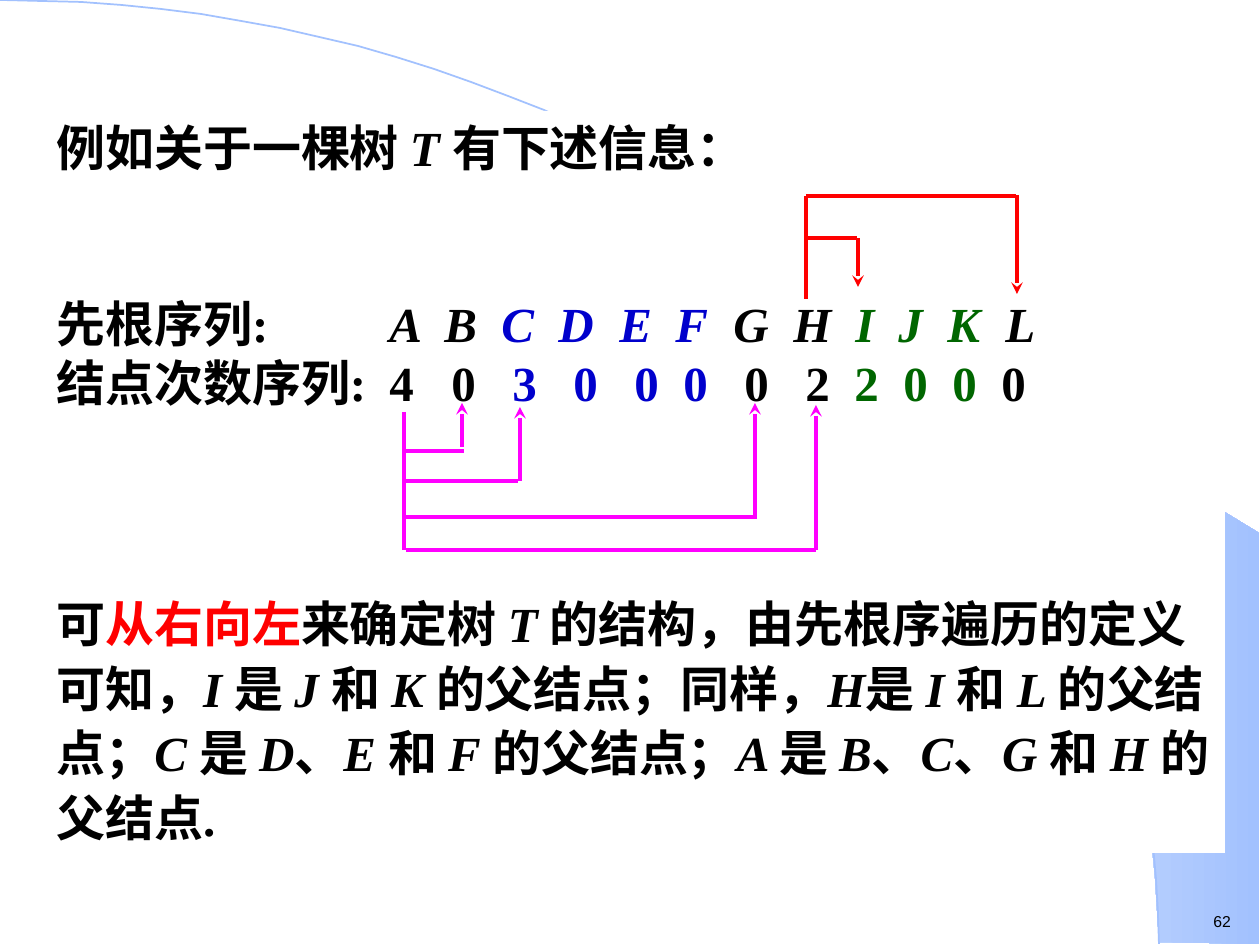
import math
from lxml import etree
from pptx import Presentation, util as u
from pptx.dml.color import RGBColor
from pptx.enum import shapes, text
from pptx.oxml.ns import qn

BLACK = RGBColor(0, 0, 0)
WHITE = RGBColor(0xFF, 0xFF, 0xFF)
RED = RGBColor(0xFF, 0, 0)
BLUE = RGBColor(0, 0, 0xCC)
GREEN = RGBColor(0, 0x66, 0)
MAGENTA = RGBColor(0xFF, 0, 0xFF)
SKY = RGBColor(0xA2, 0xC1, 0xFE)


def px(n):
    return u.Emu(round(n * 914400 / 126))


def add_run(paragraph, words, color=BLACK, italic=False, size=28, face="Times New Roman"):
    run = paragraph.add_run()
    run.text = words
    run.font.name = face
    run.font.size = u.Pt(size)
    run.font.bold = size == 28
    run.font.italic = italic
    run.font.color.rgb = color


prs = Presentation()
prs.slide_width, prs.slide_height = px(1260), px(945)
slide = prs.slides.add_slide(prs.slide_layouts[6])

wing_points = [(1159, 942), (1259, 944), (1259, 533), (742, 218), (786, 251),
               (823, 280), (863, 315), (902, 353), (960, 416), (1012, 484),
               (1048, 543), (1081, 604), (1106, 665), (1125, 721), (1138, 767),
               (1150, 827), (1155, 877)]
outline = slide.shapes.build_freeform(*wing_points[0], scale=914400 / 126)
outline.add_line_segments(wing_points[1:], close=True)
wing = outline.convert_to_shape()
wing.shadow.inherit = False
wing.line.fill.background()
wing.fill.gradient()
wing.fill.gradient_angle = 0
for stop, color, position in zip(wing.fill.gradient_stops, (WHITE, SKY), (0, 1)):
    stop.color.rgb = color
    stop.position = position

angles = [math.radians(degree) for degree in range(0, 91, 2)]
curve = [(round(1159 * math.sin(a), 2), round(944 * (1 - math.cos(a)), 2)) for a in angles]
outline = slide.shapes.build_freeform(*curve[0], scale=914400 / 126)
outline.add_line_segments(curve[1:], close=False)
arc = outline.convert_to_shape()
arc.shadow.inherit = False
arc.fill.background()
arc.line.color.rgb = SKY
arc.line.width = u.Pt(1)

page_number = slide.shapes.add_textbox(px(1201), px(906), px(44), px(32))
page_number.text_frame.word_wrap = False
add_run(page_number.text_frame.paragraphs[0], "62", size=9, face="Arial")

panel = slide.shapes.add_shape(shapes.MSO_SHAPE.RECTANGLE, px(44), px(111), px(1181), px(742))
panel.shadow.inherit = False
panel.fill.solid()
panel.fill.fore_color.rgb = WHITE
panel.line.fill.background()
body = panel.text_frame
body.word_wrap = True
body.vertical_anchor = text.MSO_ANCHOR.TOP

intro = body.paragraphs[0]
add_run(intro, "例如关于一棵树 ")
add_run(intro, "T ", italic=True)
add_run(intro, "有下述信息：")

sequences = [
    ("先根序列:", "ABCDEFGHIJKL", True, 67,
     (390, 445, 502, 559, 620, 676, 734, 794, 856, 899, 948, 1006)),
    ("结点次数序列:", "403000022000", False, 0,
     (390, 452, 513, 574, 635, 684, 745, 806, 855, 904, 953, 1002)),
]
column_colors = [BLACK] * 2 + [BLUE] * 4 + [BLACK] * 2 + [GREEN] * 3 + [BLACK]
for label, symbols, italic, gap, lefts in sequences:
    row = body.add_paragraph()
    row.space_before = u.Pt(gap)
    tabs = etree.SubElement(row._p.get_or_add_pPr(), qn("a:tabLst"))
    for left in lefts:
        etree.SubElement(tabs, qn("a:tab"), pos=str(px(left - 57)), algn="l")
    add_run(row, label)
    for symbol, color in zip(symbols, column_colors):
        add_run(row, "\t" + symbol, color, italic)

explanation = body.add_paragraph()
explanation.space_before = u.Pt(101)
explanation.line_spacing = 1.1
add_run(explanation, "可")
add_run(explanation, "从右向左", RED)
pieces = ["来确定树 ", "T ", "的结构，由先根序遍历的定义可知，", "I ", "是 ", "J ", "和 ", "K ",
          "的父结点；同样，", "H", "是 ", "I ", "和 ", "L ", "的父结点；", "C ", "是 ", "D", "、",
          "E ", "和 ", "F ", "的父结点；", "A ", "是 ", "B", "、", "C", "、", "G ", "和 ", "H ",
          "的父结点."]
for index, piece in enumerate(pieces):
    add_run(explanation, piece, italic=index % 2 == 1)

for paragraph in body.paragraphs:
    paragraph.alignment = text.PP_ALIGN.LEFT

links = [
    (RED, False, [(806, 299, 806, 196), (806, 238, 857, 238), (806, 196, 1016, 196)]),
    (RED, True, [(858, 238, 858, 287), (1017, 195, 1017, 294)]),
    (MAGENTA, False, [(404, 412, 404, 550), (404, 451, 464, 451), (406, 481, 518, 481),
                      (406, 517, 757, 517), (406, 550, 816, 550)]),
    (MAGENTA, True, [(462, 447, 462, 403), (520, 481, 520, 407),
                     (755, 516, 755, 403), (816, 550, 816, 405)]),
]
for color, pointed, segments in links:
    for segment in segments:
        link = slide.shapes.add_connector(shapes.MSO_CONNECTOR.STRAIGHT, *map(px, segment))
        link.line.color.rgb = color
        link.line.width = u.Pt(2.25)
        if pointed:
            etree.SubElement(link.line._get_or_add_ln(), qn("a:tailEnd"), type="stealth")
        etree.SubElement(link._element.spPr, qn("a:effectLst"))

prs.save("out.pptx")
